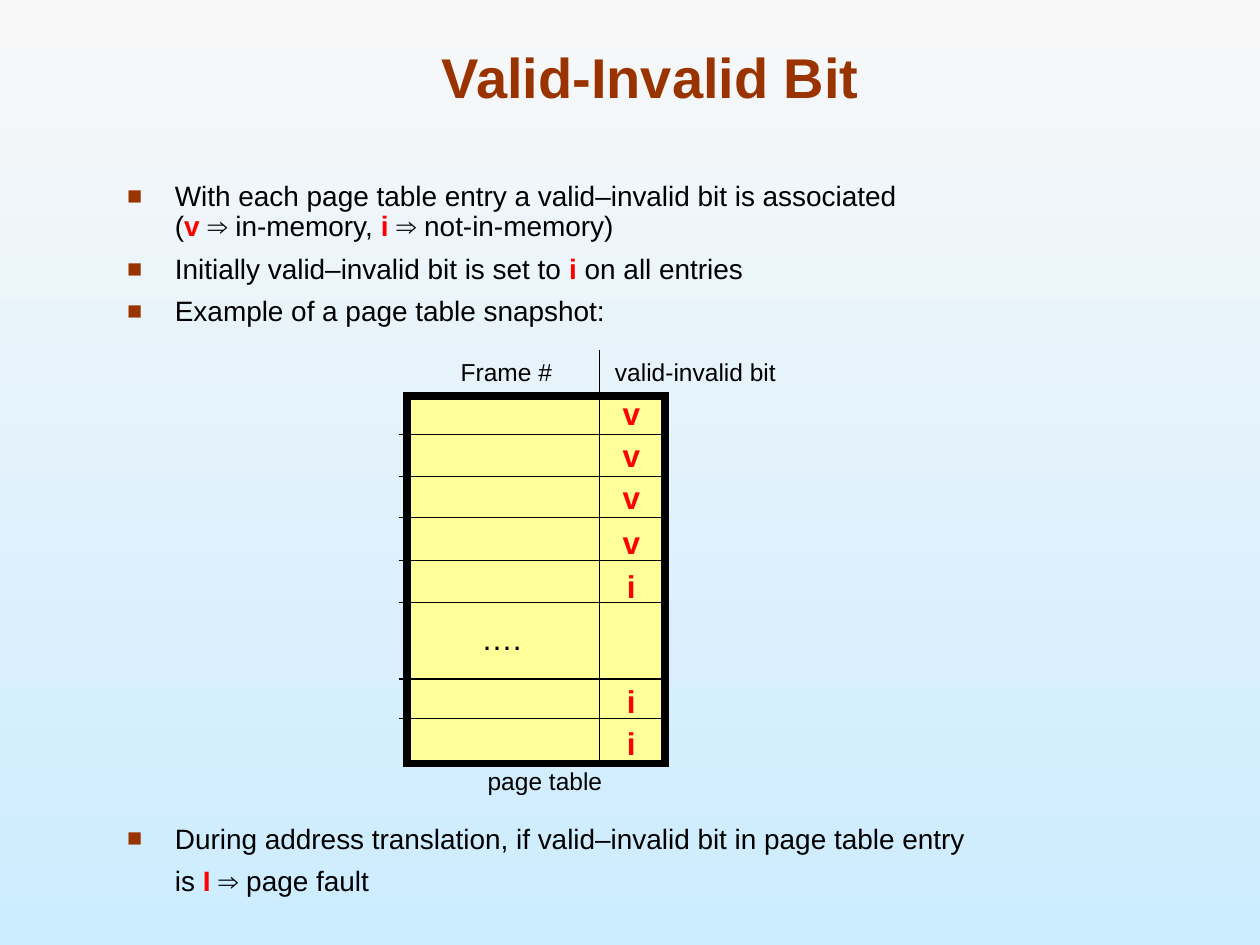
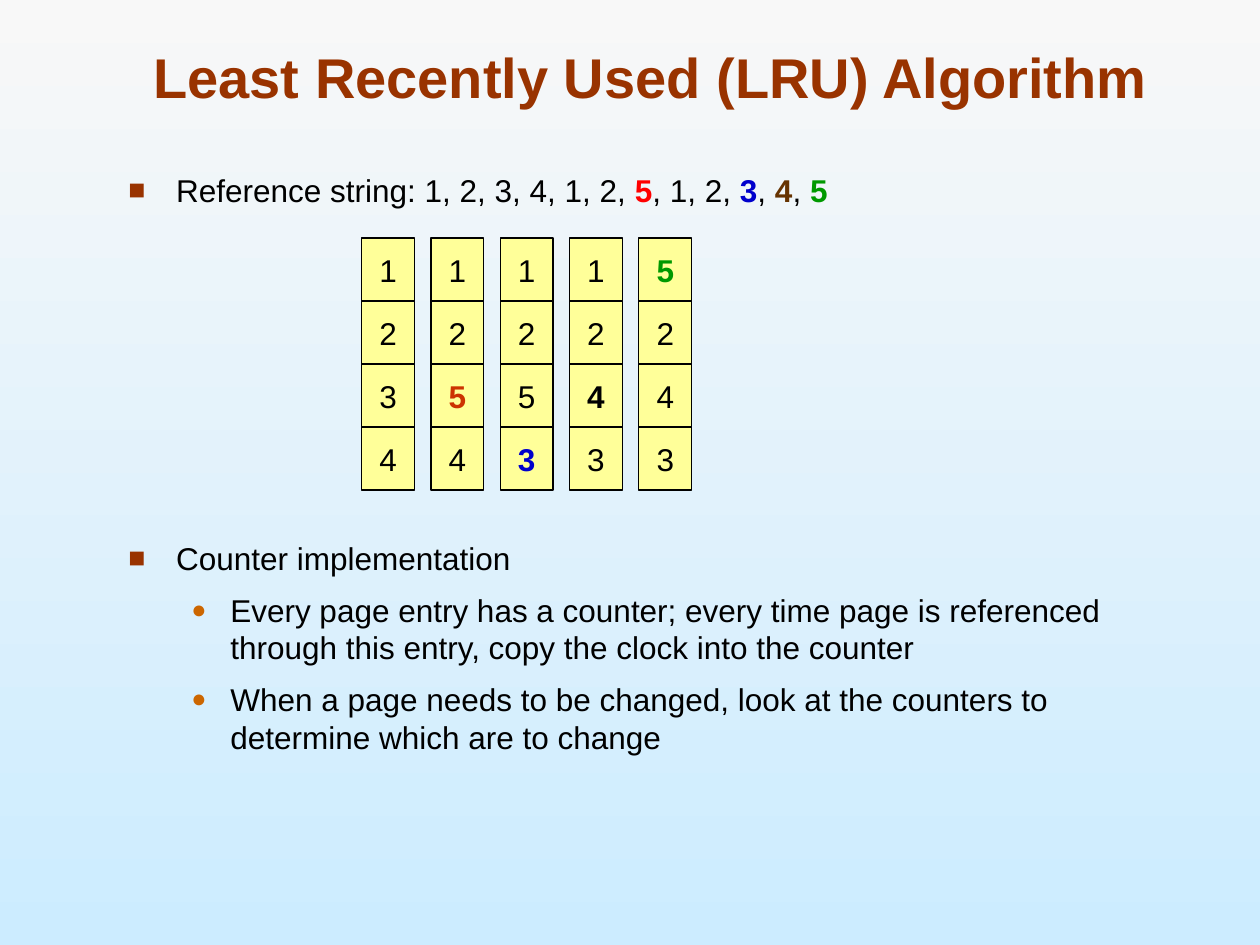
import pptx
import pptx.dml.color
import pptx.enum.shapes
import pptx.enum.text
import pptx.oxml
import pptx.oxml.ns
import pptx.util

FONT = "Arial"
BLACK, RED, BLUE, GREEN = "000000", "FF0000", "0000CC", "009900"
BROWN, RUST, CREAM = "663300", "CC3300", "FFFF99"
TITLE, SUB_BULLET = "993300", "CC6600"
BACKGROUND = ["F8F8F8", "CCECFF"]
BULLETS = {
    "main": (38, -38, "■", TITLE, 90),
    "sub": (81, -31, "●", SUB_BULLET, 80),
    "plain": (38, 0, None, None, None),
}
NAMESPACE = pptx.oxml.ns.nsdecls("a")
CENTER = pptx.enum.text.PP_ALIGN.CENTER
MIDDLE = pptx.enum.text.MSO_ANCHOR.MIDDLE
RECTANGLE = pptx.enum.shapes.MSO_SHAPE.RECTANGLE
STRAIGHT = pptx.enum.shapes.MSO_CONNECTOR.STRAIGHT

deck = pptx.Presentation()
deck.slide_width = pptx.util.Inches(10)
deck.slide_height = pptx.util.Inches(7.5)
GRID = deck.slide_width // 1000


def colour(hex_string):
    return pptx.dml.color.RGBColor.from_string(hex_string)


def write(box, paragraphs, size, align=CENTER, anchor=MIDDLE, wrap=False):
    frame = box.text_frame
    frame.word_wrap = wrap
    frame.vertical_anchor = anchor
    for number, spans in enumerate(paragraphs):
        para = frame.add_paragraph() if number else frame.paragraphs[0]
        para.alignment = align
        for text, hex_string, bold in spans:
            if text == "\n":
                para.add_line_break()
                continue
            span = para.add_run()
            span.text = text
            span.font.name = FONT
            span.font.size = pptx.util.Pt(size)
            span.font.bold = bold
            span.font.color.rgb = colour(hex_string)
    return frame.paragraphs


slides = [
    {
        "title": "Valid-Invalid Bit",
        "place": (91, 140, 792, 580),
        "size": 16,
        "line_spacing": 0.9,
        "body": [
            ("main", 0, [
                ("With each page table entry a valid–invalid bit is associated", BLACK, False),
                ("\n", BLACK, False),
                ("(", BLACK, False),
                ("v ", RED, True),
                ("⇒ in-memory, ", BLACK, False),
                ("i ", RED, True),
                ("⇒ not-in-memory)", BLACK, False),
            ]),
            ("main", 7, [
                ("Initially valid–invalid bit is set to", BLACK, False),
                (" i ", RED, True),
                ("on all entries", BLACK, False),
            ]),
            ("main", 7, [("Example of a page table snapshot:", BLACK, False)]),
            ("main", 284, [
                ("During address translation, if valid–invalid bit in page table entry", BLACK, False),
            ]),
            ("plain", 7, [
                ("is", BLACK, False),
                (" I ", RED, True),
                ("⇒ page fault", BLACK, False),
            ]),
        ],
    },
    {
        "title": "Least Recently Used (LRU) Algorithm",
        "place": (92, 131, 804, 490),
        "size": 18,
        "line_spacing": 1.0,
        "body": [
            ("main", 0, [
                ("Reference string: 1, 2, 3, 4, 1, 2, ", BLACK, False),
                ("5", RED, True),
                (", 1, 2, ", BLACK, False),
                ("3", BLUE, True),
                (", ", BLACK, False),
                ("4", BROWN, True),
                (", ", BLACK, False),
                ("5", GREEN, True),
            ]),
            ("main", 188.5, [("Counter implementation", BLACK, False)]),
            ("sub", 7.9, [
                ("Every page entry has a counter; every time page is referenced "
                 "through this entry, copy the clock into the counter", BLACK, False),
            ]),
            ("sub", 7.9, [
                ("When a page needs to be changed, look at the counters to "
                 "determine which are to change", BLACK, False),
            ]),
        ],
    },
]

pages = []
for content in slides:
    page = deck.slides.add_slide(deck.slide_layouts[6])
    pages.append(page)
    fill = page.background.fill
    fill.gradient()
    fill.gradient_angle = 270
    for stop, hex_string in zip(fill.gradient_stops, BACKGROUND):
        stop.color.rgb = colour(hex_string)

    title_box = page.shapes.add_textbox(75 * GRID, 25 * GRID, 883 * GRID, 67 * GRID)
    write(title_box, [[(content["title"], TITLE, True)]], 32,
          anchor=pptx.enum.text.MSO_ANCHOR.BOTTOM, wrap=True)

    body_box = page.shapes.add_textbox(*[length * GRID for length in content["place"]])
    paras = write(body_box, [spans for _, _, spans in content["body"]], content["size"],
                  pptx.enum.text.PP_ALIGN.LEFT, pptx.enum.text.MSO_ANCHOR.TOP, True)
    for para, (kind, space_before, _) in zip(paras, content["body"]):
        margin, indent, mark, mark_colour, percent = BULLETS[kind]
        para.line_spacing = content["line_spacing"]
        if space_before:
            para.space_before = pptx.util.Pt(space_before)
        properties = para._p.get_or_add_pPr()
        properties.set("marL", str(margin * GRID))
        properties.set("indent", str(indent * GRID))
        if mark:
            for xml in (
                f'<a:buClr {NAMESPACE}><a:srgbClr val="{mark_colour}"/></a:buClr>',
                f'<a:buSzPct {NAMESPACE} val="{percent * 1000}"/>',
                f'<a:buFont {NAMESPACE} typeface="{FONT}"/>',
                f'<a:buChar {NAMESPACE} char="{mark}"/>',
            ):
                properties.append(pptx.oxml.parse_xml(xml))

table_page, lru_page = pages

page_table = table_page.shapes.add_shape(RECTANGLE, 323 * GRID, 314 * GRID, 205 * GRID, 292 * GRID)
page_table.shadow.inherit = False
page_table.fill.solid()
page_table.fill.fore_color.rgb = colour(CREAM)
page_table.line.color.rgb = colour(BLACK)
page_table.line.width = pptx.util.Pt(4.5)
page_table.line._get_or_add_ln().append(
    pptx.oxml.parse_xml(f'<a:miter {NAMESPACE} lim="800000"/>'))

row_tops = [345 + round(row * 33.25) for row in range(5)] + [539, 570]
rules = [(317, top, 526, top) for top in row_tops] + [(476, 278, 476, 603)]
for ends in rules:
    rule = table_page.shapes.add_connector(STRAIGHT, *[length * GRID for length in ends])
    rule.line.color.rgb = colour(BLACK)
    rule.line.width = pptx.util.Pt(0.75)
    rule._element.spPr.append(pptx.oxml.parse_xml(f'<a:effectLst {NAMESPACE}/>'))

bit_tops = zip("vvvviii", [308, 341, 374, 410, 445, 536, 570])
labels = [(bit, 484, top, 34, 40, 18, RED, True) for bit, top in bit_tops]
labels += [
    ("….", 372, 486, 52, 40, 18, BLACK, False),
    ("Frame #", 347, 278, 110, 34, 14, BLACK, False),
    ("valid-invalid bit", 472, 278, 160, 34, 14, BLACK, False),
    ("page table", 372, 603, 121, 34, 14, BLACK, False),
]
for text, left, top, width, height, size, hex_string, bold in labels:
    label_box = table_page.shapes.add_textbox(left * GRID, top * GRID, width * GRID, height * GRID)
    write(label_box, [[(text, hex_string, bold)]], size)

frame_states = ["1234", "1254", "1253", "1243", "5243"]
newest = {(1, 2): RUST, (2, 3): BLUE, (3, 2): BLACK, (4, 0): GREEN}
for column, state in enumerate(frame_states):
    for row, number in enumerate(state):
        cell = lru_page.shapes.add_shape(
            RECTANGLE, (287 + 55 * column) * GRID, (189 + 50 * row) * GRID, 42 * GRID, 50 * GRID)
        cell.shadow.inherit = False
        cell.fill.solid()
        cell.fill.fore_color.rgb = colour(CREAM)
        cell.line.color.rgb = colour(BLACK)
        cell.line.width = pptx.util.Pt(0.75)
        hex_string = newest.get((column, row), BLACK)
        write(cell, [[(number, hex_string, (column, row) in newest)]], 18)

deck.save("out.pptx")
